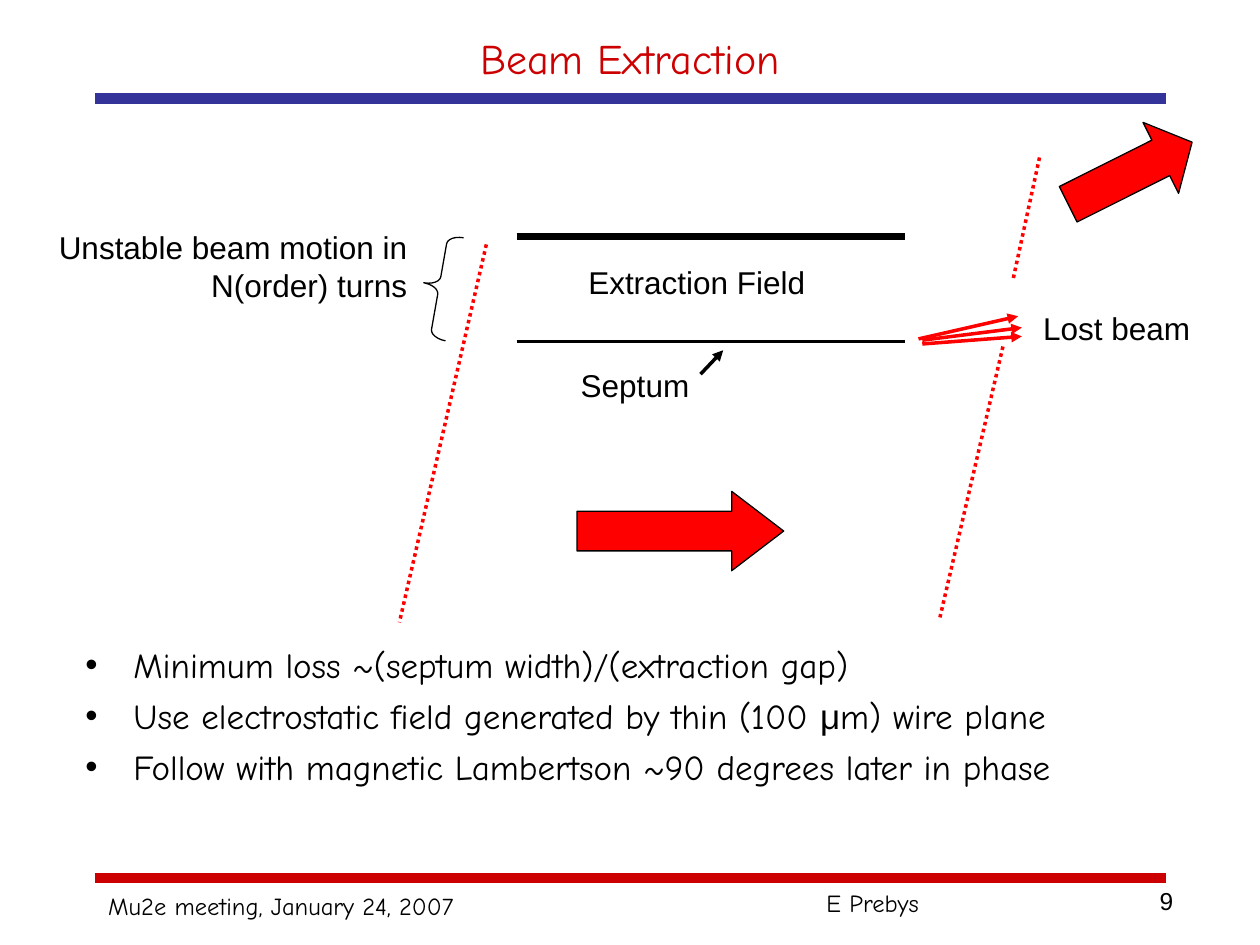
from dataclasses import dataclass

from lxml import etree
from pptx import Presentation
from pptx.dml.color import RGBColor
from pptx.enum.dml import MSO_LINE
from pptx.enum.shapes import MSO_CONNECTOR, MSO_SHAPE
from pptx.enum.text import MSO_ANCHOR, PP_ALIGN
from pptx.oxml.ns import qn
from pptx.util import Inches, Pt

STRAIGHT = MSO_CONNECTOR.STRAIGHT
DOTTED = MSO_LINE.ROUND_DOT
ARROW, BRACE = MSO_SHAPE.RIGHT_ARROW, MSO_SHAPE.LEFT_BRACE
TOP, MIDDLE = MSO_ANCHOR.TOP, MSO_ANCHOR.MIDDLE
LEFT, CENTER, RIGHT = PP_ALIGN.LEFT, PP_ALIGN.CENTER, PP_ALIGN.RIGHT
ARIAL, COMIC = "Arial", "Comic Neue"
BLACK, RED, DARK_RED, BLUE = "000000", "FF0000", "CC0000", "333399"
WIDTH, HEIGHT = Inches(10), Inches(7.5)
COLS, ROWS = 100, 75


@dataclass
class Line:
    start: tuple[float, float]
    end: tuple[float, float]
    color: str = BLACK
    width: float = 0
    dotted: bool = False
    arrow: bool = False


@dataclass
class Label:
    box: tuple[float, float, float, float]
    paragraphs: list[list[tuple[str, str]]]
    size: float = 18
    align: PP_ALIGN = LEFT
    color: str = BLACK
    anchor: MSO_ANCHOR = TOP
    wrap: bool = True
    bullets: bool = False


@dataclass
class Figure:
    kind: MSO_SHAPE
    box: tuple[float, float, float, float]
    adjustments: tuple[float, float]
    rotation: float = 0
    fill: str | None = None


LINES = [
    Line((7.5, 69.7), (92.5, 69.7), DARK_RED, 6),
    Line((7.5, 7.8), (92.5, 7.8), BLUE, 6),
    Line((41, 18.8), (71.8, 18.8), BLACK, 4),
    Line((41, 27.1), (71.8, 27.1)),
    Line((38.6, 19.4), (31.7, 49.4), RED, 2, dotted=True),
    Line((79.6, 27.5), (74.6, 49), RED, 2, dotted=True),
    Line((82.5, 12.5), (80.4, 22.2), RED, 2, dotted=True),
    Line((55.6, 29.7), (57.4, 27.8), arrow=True),
    Line((72.9, 26.9), (80.8, 25.1), RED, arrow=True),
    Line((73.2, 27), (81.1, 26), RED, arrow=True),
    Line((73.2, 27.3), (81.1, 26.7), RED, arrow=True),
]

FIGURES = [
    Figure(ARROW, (45.8, 39, 16.4, 6.3), (0.5, 0.655), fill=RED),
    Figure(ARROW, (84.2, 10.6, 11, 6.3), (0.5, 0.441), 333.4, RED),
    Figure(BRACE, (33.6, 18.6, 2.5, 8.3), (0.28, 0.49), 10),
]

LABELS = [
    Label((7.5, 1.7, 85, 5.8), [[("Beam Extraction", COMIC)]], 24, CENTER, DARK_RED, MIDDLE),
    Label((44.4, 20.4, 21.8, 4), [[("Extraction Field", ARIAL)]], align=CENTER),
    Label((43.2, 28.6, 14.4, 4), [[("Septum", ARIAL)]], align=CENTER),
    Label((1.9, 17.6, 31.4, 7), [[("Unstable beam motion in N(order) turns", ARIAL)]], align=RIGHT),
    Label((81.8, 24, 13.7, 4), [[("Lost beam", ARIAL)]]),
    Label((5.8, 50.6, 88.1, 16.8), [
        [("Minimum loss ~(septum width)/(extraction gap)", COMIC)],
        [("Use electrostatic field generated by thin (100 ", COMIC), ("μ", ARIAL),
         ("m) wire plane", COMIC)],
        [("Follow with magnetic Lambertson ~90 degrees later in phase", COMIC)],
    ], 20, bullets=True),
    Label((7.6, 70.2, 30.1, 3.4), [[("Mu2e meeting, January 24, 2007", COMIC)]], 14, wrap=False),
    Label((64.6, 70, 27.7, 3.4), [[("E Prebys", COMIC)]], 14),
    Label((70.8, 69.8, 23.3, 5.2), [[("9", ARIAL)]], 14, RIGHT),
]


def rgb(color: str) -> RGBColor:
    return RGBColor.from_string(color)


def col(n: float) -> int:
    return round(WIDTH * n / COLS)


def row(n: float) -> int:
    return round(HEIGHT * n / ROWS)


def place(box: tuple[float, float, float, float]) -> tuple[int, int, int, int]:
    x, y, w, h = box
    return col(x), row(y), col(w), row(h)


def draw_line(s, line: Line) -> None:
    (x1, y1), (x2, y2) = line.start, line.end
    sp = s.shapes.add_connector(STRAIGHT, col(x1), row(y1), col(x2), row(y2))
    sp.line.color.rgb = rgb(line.color)
    sp.line.width = Pt(line.width)
    if line.dotted:
        sp.line.dash_style = DOTTED
    props = sp._element.spPr
    if line.arrow:
        etree.SubElement(props.find(qn("a:ln")), qn("a:tailEnd"), type="triangle")
    etree.SubElement(props, qn("a:effectLst"))


def draw_figure(s, figure: Figure) -> None:
    sp = s.shapes.add_shape(figure.kind, *place(figure.box))
    sp.shadow.inherit = False
    sp.rotation = figure.rotation
    for i, value in enumerate(figure.adjustments):
        sp.adjustments[i] = value
    if figure.fill:
        sp.fill.solid()
        sp.fill.fore_color.rgb = rgb(figure.fill)
    else:
        sp.fill.background()
    sp.line.color.rgb = rgb(BLACK)
    sp.line.width = Pt(0)


def add_bullet(p) -> None:
    props = p._p.get_or_add_pPr()
    indent = Inches(0.38)
    props.set("marL", str(indent))
    props.set("indent", str(-indent))
    etree.SubElement(props, qn("a:buFont"), typeface=ARIAL)
    etree.SubElement(props, qn("a:buChar"), char="•")


def draw_label(s, label: Label) -> None:
    tf = s.shapes.add_textbox(*place(label.box)).text_frame
    tf.word_wrap = label.wrap
    tf.vertical_anchor = label.anchor
    for i, runs in enumerate(label.paragraphs):
        p = tf.add_paragraph() if i else tf.paragraphs[0]
        p.alignment = label.align
        if i:
            p.space_before = Pt(5)
        if label.bullets:
            add_bullet(p)
        for text, font in runs:
            r = p.add_run()
            r.text = text
            r.font.name = font
            r.font.size = Pt(label.size)
            r.font.color.rgb = rgb(label.color)


def main() -> None:
    prs = Presentation()
    prs.slide_width, prs.slide_height = WIDTH, HEIGHT
    s = prs.slides.add_slide(prs.slide_layouts[6])
    for line in LINES:
        draw_line(s, line)
    for figure in FIGURES:
        draw_figure(s, figure)
    for label in LABELS:
        draw_label(s, label)
    prs.save("out.pptx")


if __name__ == "__main__":
    main()
